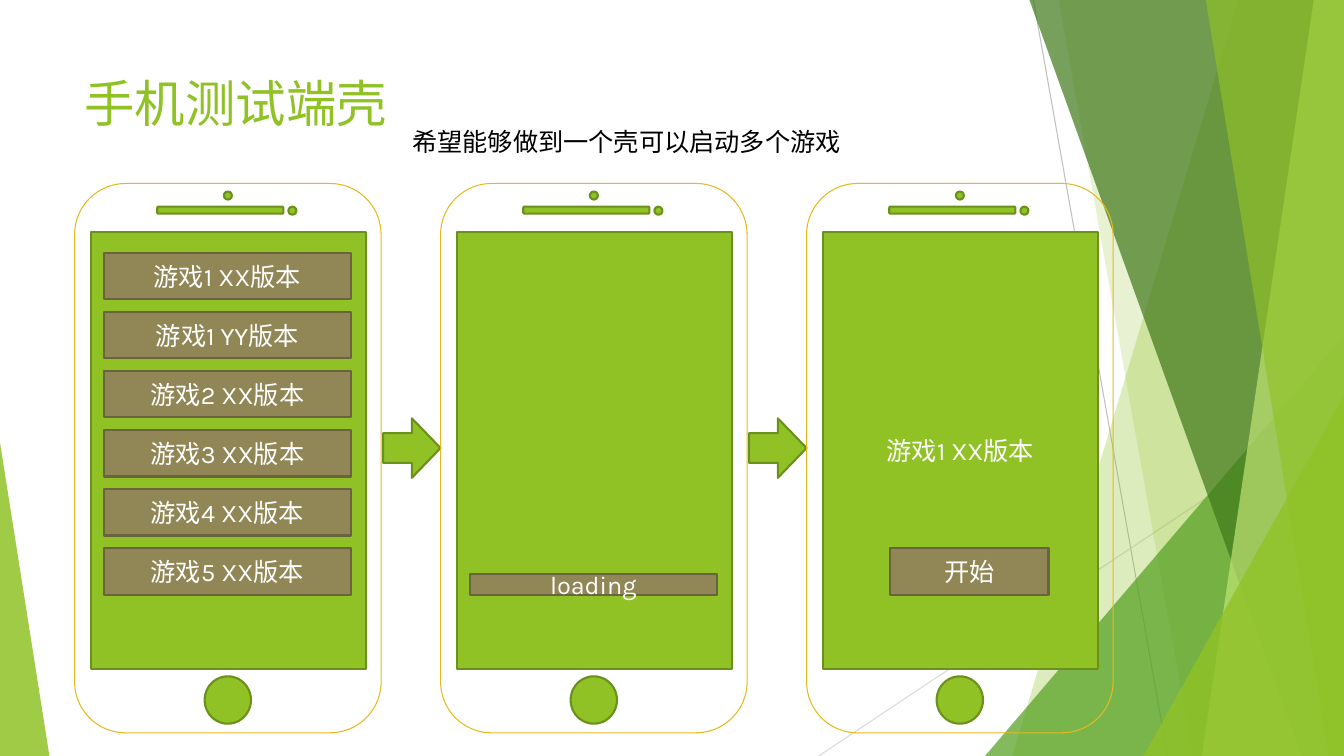
from lxml.etree import SubElement
from pptx import Presentation
from pptx.dml.color import RGBColor
from pptx.enum.shapes import MSO_CONNECTOR, MSO_SHAPE
from pptx.enum.text import MSO_ANCHOR, PP_ALIGN
from pptx.oxml.ns import qn
from pptx.util import Inches, Pt

COLORS = {
    "green": "90C226", "green_edge": "6B901C", "leaf": "54A021",
    "forest": "3F7819", "lime": "C0E474", "khaki": "918655",
    "khaki_edge": "6B633F", "gold": "E6B91E", "white": "FFFFFF",
    "black": "000000", "gray": "BFBFBF", "light_gray": "D9D9D9",
}
FONT = "Karla"
WIDTH, HEIGHT = 13.33, 7.5
PHONE_TOP, PHONE_WIDTH, PHONE_HEIGHT = 1.82, 3.04, 5.45
PHONE_LEFT, PHONE_STEP = 0.74, 3.63
ROW_STEP = 0.586
GAMES = ["游戏1 XX版本", "游戏1 YY版本", "游戏2 XX版本",
         "游戏3 XX版本", "游戏4 XX版本", "游戏5 XX版本"]


def color(name):
    return RGBColor.from_string(COLORS[name])


def write_text(shape, text, size, name, align, anchor):
    frame = shape.text_frame
    frame.word_wrap = True
    frame.vertical_anchor = anchor
    paragraph = frame.paragraphs[0]
    paragraph.alignment = align
    run = paragraph.add_run()
    run.text = text
    run.font.color.rgb = color(name)
    for attribute, value in {"name": FONT, "size": Pt(size)}.items():
        setattr(run.font, attribute, value)


def add_label(slide, box, text, size, name):
    shape = slide.shapes.add_textbox(*map(Inches, box))
    write_text(shape, text, size, name, PP_ALIGN.LEFT, MSO_ANCHOR.TOP)


def add_block(slide, kind, box, fill="green", edge="green_edge", weight=1.5, text=""):
    shape = slide.shapes.add_shape(kind, *map(Inches, box))
    shape.shadow.inherit = False
    if fill:
        shape.fill.solid()
        shape.fill.fore_color.rgb = color(fill)
    else:
        shape.fill.background()
    shape.line.color.rgb = color(edge)
    shape.line.width = Pt(weight)
    if text:
        write_text(shape, text, 18, "white", PP_ALIGN.CENTER, MSO_ANCHOR.MIDDLE)


def add_button(slide, box, text):
    add_block(slide, MSO_SHAPE.RECTANGLE, box, "khaki", "khaki_edge", text=text)


def paint_glass(shape, name, opacity):
    shape.shadow.inherit = False
    shape.fill.solid()
    shape.fill.fore_color.rgb = color(name)
    shape.line.fill.background()
    fill_color = shape.fill._xPr.find(qn("a:solidFill"))[0]
    SubElement(fill_color, qn("a:alpha")).set("val", str(opacity * 1000))


def add_thin_line(slide, start, end, name):
    line = slide.shapes.add_connector(
        MSO_CONNECTOR.STRAIGHT, *map(Inches, start + end))
    line.line.color.rgb = color(name)
    line.line.width = Pt(0.75)
    SubElement(line._element.spPr, qn("a:effectLst"))


def add_band(slide, top_left, bottom_left, name, opacity):
    corners = [(top_left, 0), (WIDTH, 0), (WIDTH, HEIGHT), (bottom_left, HEIGHT)]
    points = [(Inches(x), Inches(y)) for x, y in corners]
    builder = slide.shapes.build_freeform(*points[0])
    builder.add_line_segments(points[1:], close=True)
    paint_glass(builder.convert_to_shape(), name, opacity)


def add_wedge(slide, left, top, width, apex, name, opacity):
    box = (left, top, width, HEIGHT - top)
    shape = slide.shapes.add_shape(MSO_SHAPE.ISOSCELES_TRIANGLE, *map(Inches, box))
    shape.adjustments[0] = apex
    paint_glass(shape, name, opacity)


def add_backdrop(slide):
    add_thin_line(slide, (10.25, 0), (11.58, HEIGHT), "gray")
    add_thin_line(slide, (WIDTH, 4.03), (8.12, HEIGHT), "light_gray")
    add_band(slide, 12.28, 10.04, "green", 30)
    add_band(slide, 10.5, 11.83, "green", 20)
    add_wedge(slide, 9.77, 3.33, 3.56, 1, "leaf", 72)
    add_band(slide, 10.21, 12.91, "forest", 70)
    add_band(slide, 13.03, 11.92, "lime", 70)
    add_band(slide, 11.96, 13.18, "green", 65)
    add_wedge(slide, 11.34, 3.93, 1.99, 1, "green", 80)
    add_wedge(slide, 0, 4.39, 0.49, 0, "green", 85)


def add_phone(slide, left, top, screen_text=""):
    add_block(slide, MSO_SHAPE.ROUNDED_RECTANGLE,
              (left, top, PHONE_WIDTH, PHONE_HEIGHT), None, "gold", 0.75)
    parts = [
        (MSO_SHAPE.OVAL, 1.29, 4.89, 0.46, 0.47, ""),
        (MSO_SHAPE.RECTANGLE, 0.16, 0.48, 2.73, 4.34, screen_text),
        (MSO_SHAPE.ROUNDED_RECTANGLE, 0.82, 0.23, 1.25, 0.07, ""),
        (MSO_SHAPE.OVAL, 2.12, 0.23, 0.08, 0.08, ""),
        (MSO_SHAPE.OVAL, 1.48, 0.08, 0.08, 0.08, ""),
    ]
    for kind, x, y, width, height, text in parts:
        add_block(slide, kind, (left + x, top + y, width, height), text=text)


def add_menu_phone(slide, left, top):
    add_phone(slide, left, top)
    for row, game in enumerate(GAMES):
        add_button(slide, (left + 0.29, top + 0.69 + row * ROW_STEP, 2.45, 0.46), game)


def add_loading_phone(slide, left, top):
    add_phone(slide, left, top)
    add_button(slide, (left + 0.29, top + 3.87, 2.45, 0.21), "loading")


def add_start_phone(slide, left, top):
    add_phone(slide, left, top, GAMES[0])
    add_button(slide, (left + 0.83, top + 3.62, 1.57, 0.46), "开始")


def add_phone_flow(slide):
    phones = [add_menu_phone, add_loading_phone, add_start_phone]
    for index, add_screen in enumerate(phones):
        left = PHONE_LEFT + index * PHONE_STEP
        add_screen(slide, left, PHONE_TOP)
        if index < len(phones) - 1:
            add_block(slide, MSO_SHAPE.RIGHT_ARROW,
                      (left + PHONE_WIDTH + 0.02, PHONE_TOP + 2.33, 0.57, 0.59))


def main():
    presentation = Presentation()
    presentation.slide_width = Inches(WIDTH)
    presentation.slide_height = Inches(HEIGHT)
    slide = presentation.slides.add_slide(presentation.slide_layouts[6])
    add_backdrop(slide)
    add_label(slide, (0.74, 0.67, 9.4, 1.44), "手机测试端壳", 36, "green")
    add_phone_flow(slide)
    add_label(slide, (3.99, 1.2, 5.3, 0.4), "希望能够做到一个壳可以启动多个游戏", 18, "black")
    presentation.save("out.pptx")


if __name__ == "__main__":
    main()
